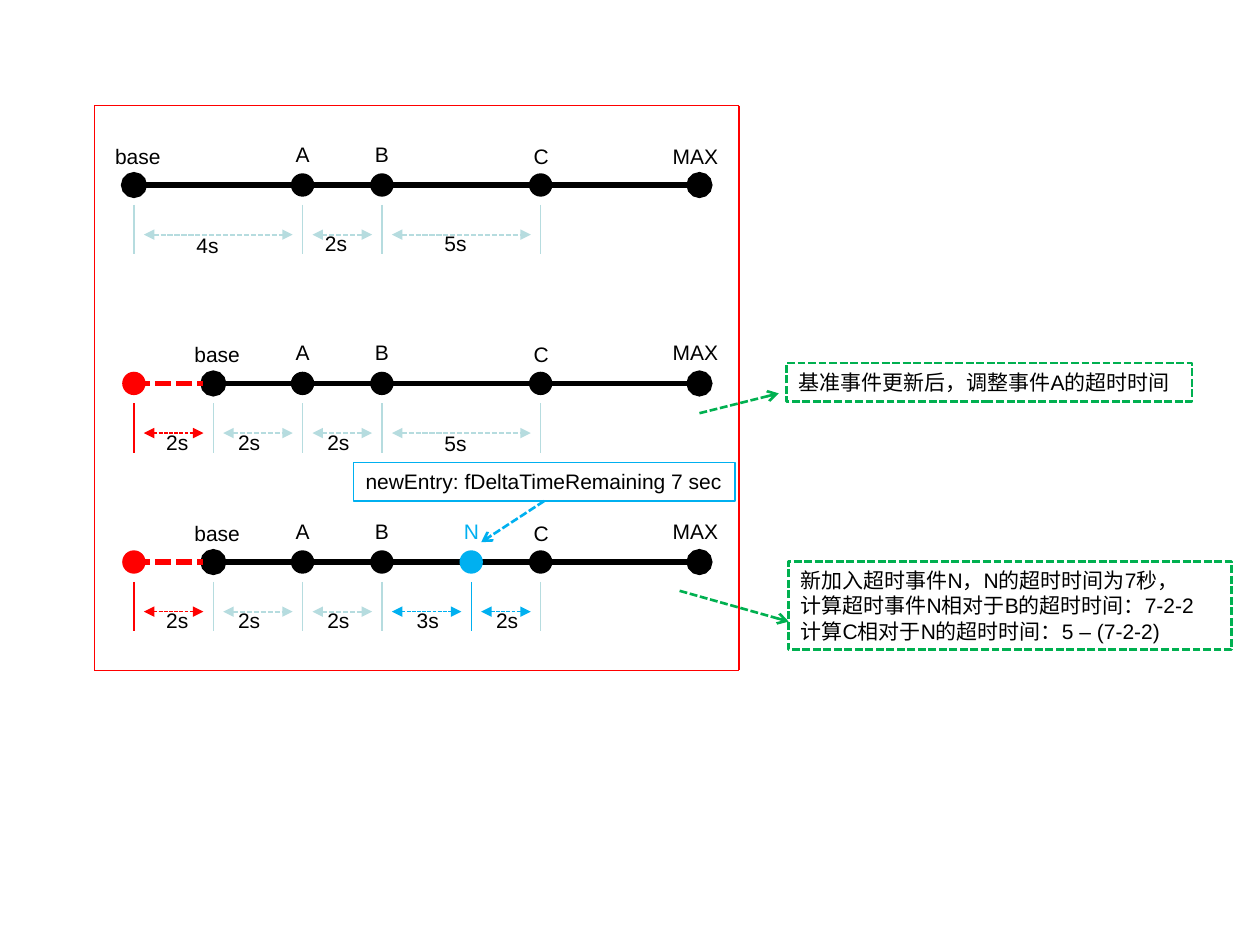
from dataclasses import dataclass

from lxml.etree import SubElement
from pptx import Presentation
from pptx.dml.color import RGBColor
from pptx.enum.dml import MSO_LINE_DASH_STYLE as Dash
from pptx.enum.shapes import MSO_CONNECTOR as Connector, MSO_SHAPE as Shape
from pptx.enum.text import MSO_ANCHOR as Anchor, MSO_AUTO_SIZE as AutoSize, PP_ALIGN as Align
from pptx.oxml.ns import qn
from pptx.util import Inches, Mm, Pt


@dataclass(frozen=True)
class Theme:
    ink: str = "000000"
    pale: str = "B6DCDF"
    expired: str = "FF0000"
    added: str = "00B0F0"
    note: str = "00B050"
    font: str = "Arial"
    text_size: float = 12
    hairline: float = 0.75
    span_line: float = 1
    note_line: float = 1.5
    dot_line: float = 2
    axis_line: float = 3


THEME = Theme()
CELL = Mm(2)
LINE_HEIGHT = 3.85
DURATION_WIDTH = 5
COLUMNS = {"start": 13.5, "base": 21.5, "A": 30.5, "B": 38.5, "N": 47.5, "C": 54.5, "MAX": 70.5}
LABELS = {"base": (7.1, 0.4, -4.85), "A": (3.9, 0, -5), "B": (3.9, 0, -5),
          "N": (4, 0, -5), "C": (4, 0.05, -4.85), "MAX": (7.1, -0.4, -5)}


def grid(*cells):
    return [round(cell * CELL) for cell in cells]


def write_text(frame, text, color=THEME.ink, size=THEME.text_size, font=THEME.font, wrap=False):
    frame.word_wrap = wrap
    frame.auto_size = AutoSize.SHAPE_TO_FIT_TEXT
    frame.vertical_anchor = Anchor.TOP
    for index, line in enumerate(text.split("\n")):
        para = frame.add_paragraph() if index else frame.paragraphs[0]
        para.alignment = Align.LEFT
        span = para.add_run()
        span.text = line
        span.font.size = Pt(size)
        span.font.name = font
        span.font.color.rgb = RGBColor.from_string(color)


class SlideBuilder:
    def __init__(self, slide, theme):
        self.slide = slide
        self.theme = theme

    def stroke(self, line, color, width, dashed=False):
        line.color.rgb = RGBColor.from_string(color)
        line.width = Pt(width)
        if dashed:
            line.dash_style = Dash.SQUARE_DOT

    def line(self, start, end, color, width, dashed=False, head=None, tail=None, size="med"):
        link = self.slide.shapes.add_connector(Connector.STRAIGHT, *grid(*start, *end))
        self.stroke(link.line, color, width, dashed)
        properties = link._element.spPr
        outline = properties.find(qn("a:ln"))
        for tag, kind in (("a:headEnd", head), ("a:tailEnd", tail)):
            if kind:
                SubElement(outline, qn(tag), type=kind, w=size, len=size)
        SubElement(properties, qn("a:effectLst"))
        return link

    def dot(self, column, row, color):
        dot = self.slide.shapes.add_shape(Shape.OVAL, *grid(column - 1, row - 1, 2, 2))
        dot.shadow.inherit = False
        dot.fill.solid()
        dot.fill.fore_color.rgb = RGBColor.from_string(color)
        self.stroke(dot.line, color, self.theme.dot_line)

    def label(self, left, top, width, text, **style):
        box = self.slide.shapes.add_textbox(*grid(left, top, width, LINE_HEIGHT))
        write_text(box.text_frame, text, **style)

    def callout(self, left, top, width, height, text, color, line_width, dashed=False):
        box = self.slide.shapes.add_shape(Shape.RECTANGLE, *grid(left, top, width, height))
        box.shadow.inherit = False
        box.fill.background()
        self.stroke(box.line, color, line_width, dashed)
        write_text(box.text_frame, text)
        return box

    def frame(self, left, top, right, bottom):
        for start, end in (((left, top), (right, top)), ((left, top), (left, bottom)),
                           ((left, bottom), (right, bottom)), ((right, top), (right, bottom))):
            self.line(start, end, self.theme.expired, self.theme.hairline)

    def tick(self, column, row, color):
        self.line((column, row + 2), (column, row + 7), color, self.theme.hairline)

    def duration(self, row, first, last, text, left, color, drop=4):
        width = self.theme.span_line if color == self.theme.pale else self.theme.hairline
        self.line((COLUMNS[first] + 1, row + 5), (COLUMNS[last] - 1, row + 5), color, width,
                  dashed=True, head="triangle", tail="triangle")
        self.label(left, row + drop, DURATION_WIDTH, text)

    def timeline(self, row, base, events, durations, max_rise=-5):
        theme = self.theme
        start, end = COLUMNS["start"], COLUMNS["MAX"]
        self.line((base, row), (end, row), theme.ink, theme.axis_line,
                  head="oval", tail="oval", size="lg")
        if base > start:
            self.line((start, row), (base - 1, row), theme.expired, theme.axis_line, dashed=True)
            self.dot(start, row, theme.expired)
            self.tick(start, row, theme.expired)
        self.tick(base, row, theme.pale)
        for event in events:
            is_new = event == "N"
            self.dot(COLUMNS[event], row, theme.added if is_new else theme.ink)
            self.tick(COLUMNS[event], row, theme.added if is_new else theme.pale)
        for name in ("base", *events, "MAX"):
            width, shift, rise = LABELS[name]
            column = base if name == "base" else COLUMNS[name]
            self.label(column + shift - width / 2, row + (max_rise if name == "MAX" else rise),
                       width, name, color=theme.added if name == "N" else theme.ink)
        for item in durations:
            self.duration(row, *item)


def main():
    deck = Presentation()
    deck.slide_width, deck.slide_height = Inches(10), Inches(7.5)
    page = SlideBuilder(deck.slides.add_slide(deck.slide_layouts[6]), THEME)

    elapsed = [("start", "base", "2s", 15.5, THEME.expired),
               ("base", "A", "2s", 22.75, THEME.pale),
               ("A", "B", "2s", 31.75, THEME.pale)]
    last_wait = ("B", "C", "5s", 43.55, THEME.pale)

    page.frame(9.5, 10.65, 74.5, 67.55)
    page.timeline(18.65, COLUMNS["start"], "ABC",
                  [("start", "A", "4s", 18.55, THEME.pale, 4.15),
                   ("A", "B", "2s", 31.5, THEME.pale), last_wait], max_rise=-4.85)
    page.timeline(38.65, COLUMNS["base"], "ABC", [*elapsed, (*last_wait, 4.15)])
    page.timeline(56.65, COLUMNS["base"], "ABNC",
                  [*elapsed, ("B", "N", "3s", 40.75, THEME.added),
                   ("N", "C", "2s", 48.75, THEME.added)])

    entry = page.callout(35.6, 46.65, 38.5, LINE_HEIGHT, "newEntry: fDeltaTimeRemaining 7 sec",
                         THEME.added, THEME.hairline)
    pointer = page.line((54.85, 50.5), (48.5, 54.65), THEME.added, THEME.note_line,
                        dashed=True, tail="arrow")
    pointer.begin_connect(entry, 2)

    page.callout(79.25, 36.6, 40.9, LINE_HEIGHT, "基准事件更新后，调整事件A的超时时间",
                 THEME.note, THEME.note_line, dashed=True)
    page.callout(79.45, 56.6, 44.7, 8.9,
                 "新加入超时事件N，N的超时时间为7秒，\n"
                 "计算超时事件N相对于B的超时时间：7-2-2\n"
                 "计算C相对于N的超时时间：5 – (7-2-2)",
                 THEME.note, THEME.note_line, dashed=True)
    for start, end in (((70.5, 41.65), (78.5, 39.65)), ((68.5, 59.55), (79.5, 62.65))):
        page.line(start, end, THEME.note, THEME.note_line, dashed=True, tail="arrow")

    deck.save("out.pptx")


if __name__ == "__main__":
    main()
